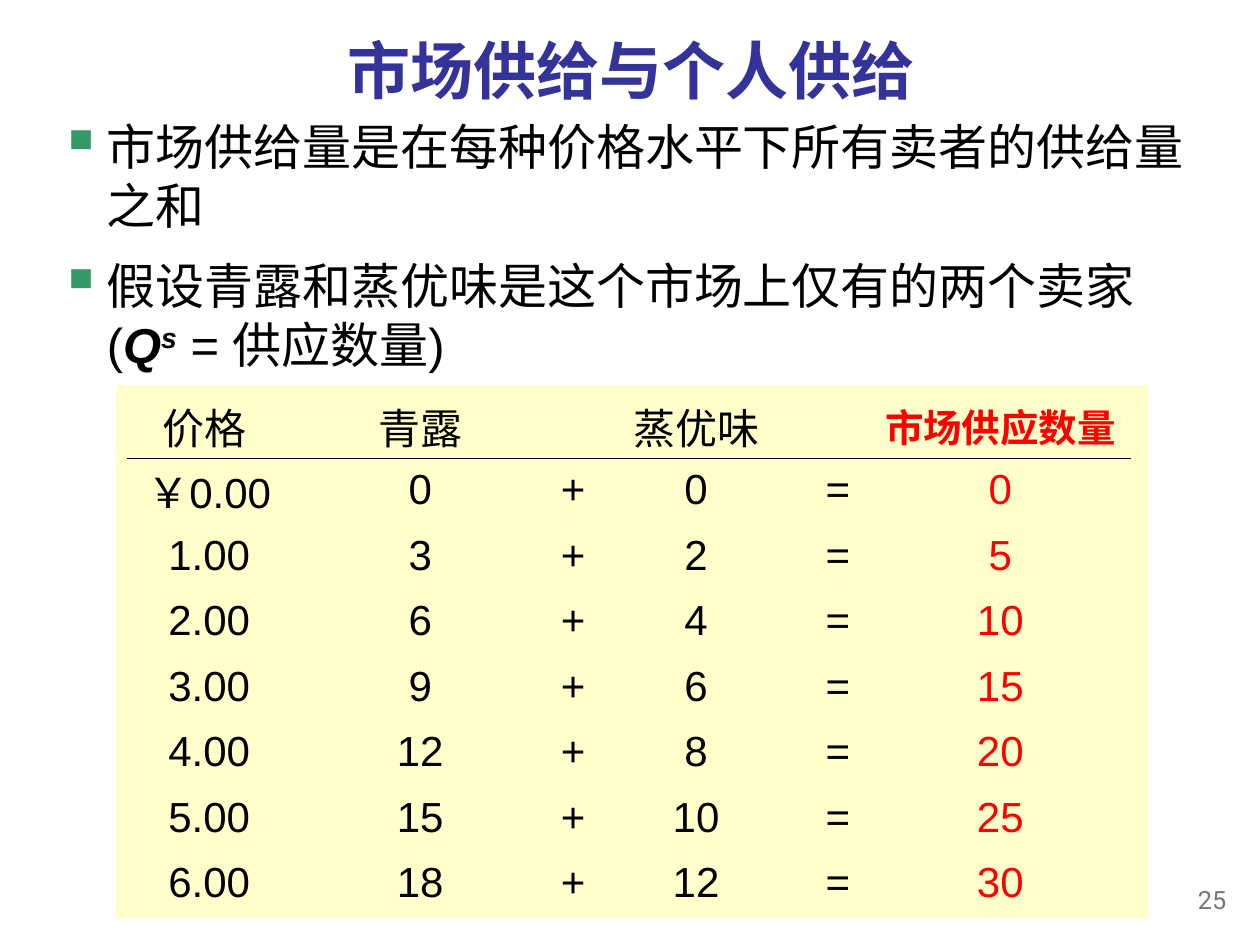
from pptx import Presentation, util as u
from pptx.dml.color import RGBColor
from pptx.enum import shapes, text
from pptx.oxml import ns, xmlchemy as xml

WIDTH, HEIGHT = 10, 7.5
BLACK, RED, NAVY, GREEN, CREAM, GREY = (
    "000000", "FF0000", "333399", "339966", "FFFFCC", "777777")
NO_GRID_STYLE = "{2D5ABB26-0587-4C30-8999-92F81FD0307C}"
CENTER, RIGHT = text.PP_ALIGN.CENTER, text.PP_ALIGN.RIGHT

COLUMN_WIDTHS = [1.3, 2.05, 0.29, 1.75, 0.5, 2.08]
HEADER_HEIGHT, ROW_HEIGHT = 0.54, 0.52
TABLE_LEFT, TABLE_TOP = 1.01, 3.1
HEADERS = ["价格 ", "青露", "", "蒸优味", "", "市场供应数量"]
PRICES = range(7)
FIRST_SELLER, SECOND_SELLER = 3, 2  # units supplied per yuan of price


def color(value):
    return RGBColor.from_string(value)


def place(left, top, width, height):
    """Turn shares of the slide into lengths."""
    return [u.Inches(share * side) for share, side in
            zip((left, top, width, height), (WIDTH, HEIGHT) * 2)]


def write(para, words, size=24, font="Arial", fill=BLACK,
          bold=False, italic=False, raised=False):
    span = para.add_run()
    span.text = words
    span.font.size = u.Pt(size)
    span.font.name = font
    span.font.color.rgb = color(fill)
    span.font.bold = bold
    span.font.italic = italic
    if raised:
        span.font._element.set("baseline", "30000")


def add_box(page, area, anchor=text.MSO_ANCHOR.TOP):
    frame = page.shapes.add_textbox(*place(*area)).text_frame
    frame.word_wrap = True
    frame.vertical_anchor = anchor
    return frame


def add_line_of_text(page, area, words, align, anchor, **look):
    para = add_box(page, area, anchor).paragraphs[0]
    para.alignment = align
    write(para, words, **look)


def add_bullet(para):
    props = para._p.get_or_add_pPr()
    props.set("marL", str(u.Inches(0.38)))
    props.set("indent", str(-u.Inches(0.38)))
    tint = xml.OxmlElement("a:buClr")
    xml_color = xml.OxmlElement("a:srgbClr")
    xml_color.set("val", GREEN)
    tint.append(xml_color)
    size = xml.OxmlElement("a:buSzPct")
    size.set("val", "120000")
    mark = xml.OxmlElement("a:buChar")
    mark.set("char", "▪")
    props.extend([tint, size, mark])


def add_body(page):
    frame = add_box(page, (0.037, 0.117, 0.932, 0.289))
    first, second = frame.paragraphs[0], frame.add_paragraph()
    for para in (first, second):
        add_bullet(para)
    second.space_before = u.Pt(12.2)
    write(first, "市场供给量是在每种价格水平下所有卖者的供给量之和", size=28)
    write(second, "假设青露和蒸优味是这个市场上仅有的两个卖家", size=28)
    second.add_line_break()
    write(second, "(", size=28)
    write(second, "Q", size=28, bold=True, italic=True)
    write(second, "s", size=28, bold=True, italic=True, raised=True)
    write(second, " = 供应数量)", size=28)


def add_panel(page):
    panel = page.shapes.add_shape(shapes.MSO_SHAPE.RECTANGLE,
                                  *place(0.092, 0.408, 0.819, 0.564))
    panel.shadow.inherit = False
    panel.fill.solid()
    panel.fill.fore_color.rgb = color(CREAM)
    panel.line.fill.background()


def add_rule(page):
    y = u.Inches(TABLE_TOP + HEADER_HEIGHT)
    rule = page.shapes.add_connector(
        shapes.MSO_CONNECTOR.STRAIGHT, u.Inches(TABLE_LEFT), y,
        u.Inches(TABLE_LEFT + sum(COLUMN_WIDTHS)), y)
    rule.line.color.rgb = color(BLACK)
    rule.line.width = u.Pt(1)
    rule._element.spPr.append(xml.OxmlElement("a:effectLst"))


def supply_row(price):
    first, second = price * FIRST_SELLER, price * SECOND_SELLER
    label = f"{price:.2f}" if price else "￥0.00"
    return [label, str(first), "+", str(second), "=", str(first + second)]


def fill_cell(cell, words, spacing, **look):
    cell.fill.background()
    cell.vertical_anchor = text.MSO_ANCHOR.MIDDLE
    cell.margin_top = cell.margin_bottom = 0
    if words == "+":
        cell.margin_left, cell.margin_right = u.Inches(0.09), 0
    para = cell.text_frame.paragraphs[0]
    para.alignment = CENTER
    para.line_spacing = spacing
    if words:
        write(para, words, **look)


def add_supply_table(page):
    rows = [HEADERS] + [supply_row(price) for price in PRICES]
    heights = [HEADER_HEIGHT] + [ROW_HEIGHT] * len(PRICES)
    frame = page.shapes.add_table(
        len(rows), len(HEADERS), u.Inches(TABLE_LEFT), u.Inches(TABLE_TOP),
        u.Inches(sum(COLUMN_WIDTHS)), u.Inches(sum(heights)))
    table = frame.table
    table.first_row = table.horz_banding = False
    for style in frame._element.iter(ns.qn("a:tableStyleId")):
        style.text = NO_GRID_STYLE
    for column, width in zip(table.columns, COLUMN_WIDTHS):
        column.width = u.Inches(width)
    for r, (row, height) in enumerate(zip(rows, heights)):
        table.rows[r].height = u.Inches(height)
        for c, words in enumerate(row):
            total, header = c == len(row) - 1, r == 0
            fill_cell(table.cell(r, c), words, 1.05 if header else 0.95,
                      size=22 if header and total else 24,
                      fill=RED if total else BLACK, bold=header and total)


def main():
    deck = Presentation()
    deck.slide_width, deck.slide_height = u.Inches(WIDTH), u.Inches(HEIGHT)
    page = deck.slides.add_slide(deck.slide_layouts[6])
    add_panel(page)
    add_line_of_text(page, (0.009, 0.031, 0.984, 0.085), "市场供给与个人供给",
                     CENTER, text.MSO_ANCHOR.MIDDLE,
                     size=36, font="Cambria", fill=NAVY, bold=True)
    add_body(page)
    add_supply_table(page)
    add_rule(page)
    add_line_of_text(page, (0.908, 0.929, 0.075, 0.053), "25",
                     RIGHT, text.MSO_ANCHOR.TOP,
                     size=14.4, font="Roboto", fill=GREY)
    deck.save("out.pptx")


if __name__ == "__main__":
    main()
